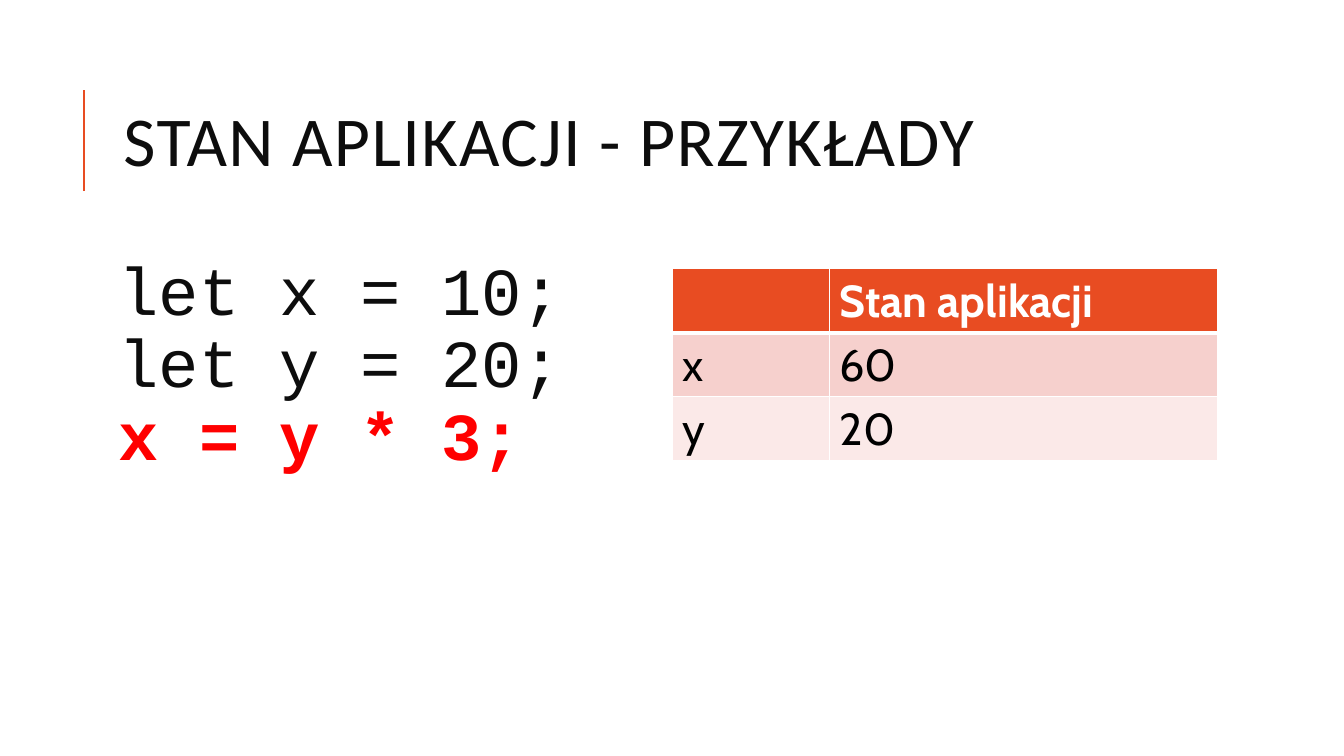
"""Build the slide on application state: a code sample beside a table of values."""
from pptx import Presentation
from pptx.dml.color import RGBColor
from pptx.enum.shapes import MSO_CONNECTOR as Connector
from pptx.enum.text import MSO_ANCHOR as Anchor, MSO_AUTO_SIZE as AutoSize, PP_ALIGN as Align
from pptx.oxml.ns import qn
from pptx.util import Emu, Pt
from lxml.etree import SubElement

COLORS = {
    "accent": "E84C22",
    "ink": "0D0D0D",
    "highlight": "FF0000",
    "black": "000000",
    "white": "FFFFFF",
    "band_dark": "F6D0CD",
    "band_light": "FBE9E8",
}


def px(*lengths):
    return [Emu(length * 9525) for length in lengths]


def style(span, font, size, color, bold=False):
    span.font.name = font
    span.font.size = Pt(size)
    span.font.bold = bold
    span.font.color.rgb = RGBColor.from_string(COLORS[color])


deck = Presentation()
deck.slide_width, deck.slide_height = px(1280, 720)
page = deck.slides.add_slide(deck.slide_layouts[5])

rule = page.shapes.add_connector(Connector.STRAIGHT, *px(80, 182, 80, 86))
rule.line.color.rgb = RGBColor.from_string(COLORS["accent"])
rule.line.width = Pt(1.5)
SubElement(rule._element.spPr, qn("a:effectLst"))

title = page.shapes.title
title.left, title.top, title.width, title.height = px(108, 61, 1020, 157)
title.text_frame.text = "STAN APLIKACJI - PRZYKŁADY"
title.text_frame.auto_size = AutoSize.NONE
title.text_frame.vertical_anchor = Anchor.MIDDLE
heading = title.text_frame.paragraphs[0]
heading.alignment = Align.LEFT
heading.line_spacing = 0.8
style(heading.runs[0], "Calibri", 50, "ink")
heading.runs[0]._r.get_or_add_rPr().set("spc", "100")

code_box = page.shapes.add_textbox(*px(108, 240, 1020, 422))
code = code_box.text_frame
code.word_wrap = True
code.margin_left, code.margin_top, code.margin_right, code.margin_bottom = px(5, 5, 5, 5)
para = code.paragraphs[0]
para.text = "let x = 10;\vlet y = 20;\vx = y * 3;"
para.line_spacing = 0.9
para.space_before, para.space_after = Pt(12), Pt(2)
for span, color in zip(para.runs, ("ink", "ink", "highlight")):
    style(span, "Courier New", 48, color, bold=color == "highlight")

ROWS = [
    (("", "Stan aplikacji"), "accent", "white"),
    (("x", "60"), "band_dark", "black"),
    (("y", "20"), "band_light", "black"),
]
table = page.shapes.add_table(len(ROWS), 2, *px(640, 256, 520, 183)).table
for column, width in zip(table.columns, px(150, 370)):
    column.width = width
for row_index, (values, fill, ink) in enumerate(ROWS):
    for column_index, value in enumerate(values):
        cell = table.cell(row_index, column_index)
        cell.text = value
        for span in cell.text_frame.paragraphs[0].runs:
            style(span, "Cabin", 32, ink, bold=row_index == 0)
        for side in "LRTB":
            heavy = (row_index, side) in ((0, "B"), (1, "T"))
            border = SubElement(cell._tc.get_or_add_tcPr(), qn(f"a:ln{side}"), w=str(Pt(3 if heavy else 1)))
            SubElement(SubElement(border, qn("a:solidFill")), qn("a:srgbClr"), val=COLORS["white"])
        cell.fill.solid()
        cell.fill.fore_color.rgb = RGBColor.from_string(COLORS[fill])

deck.save("out.pptx")
